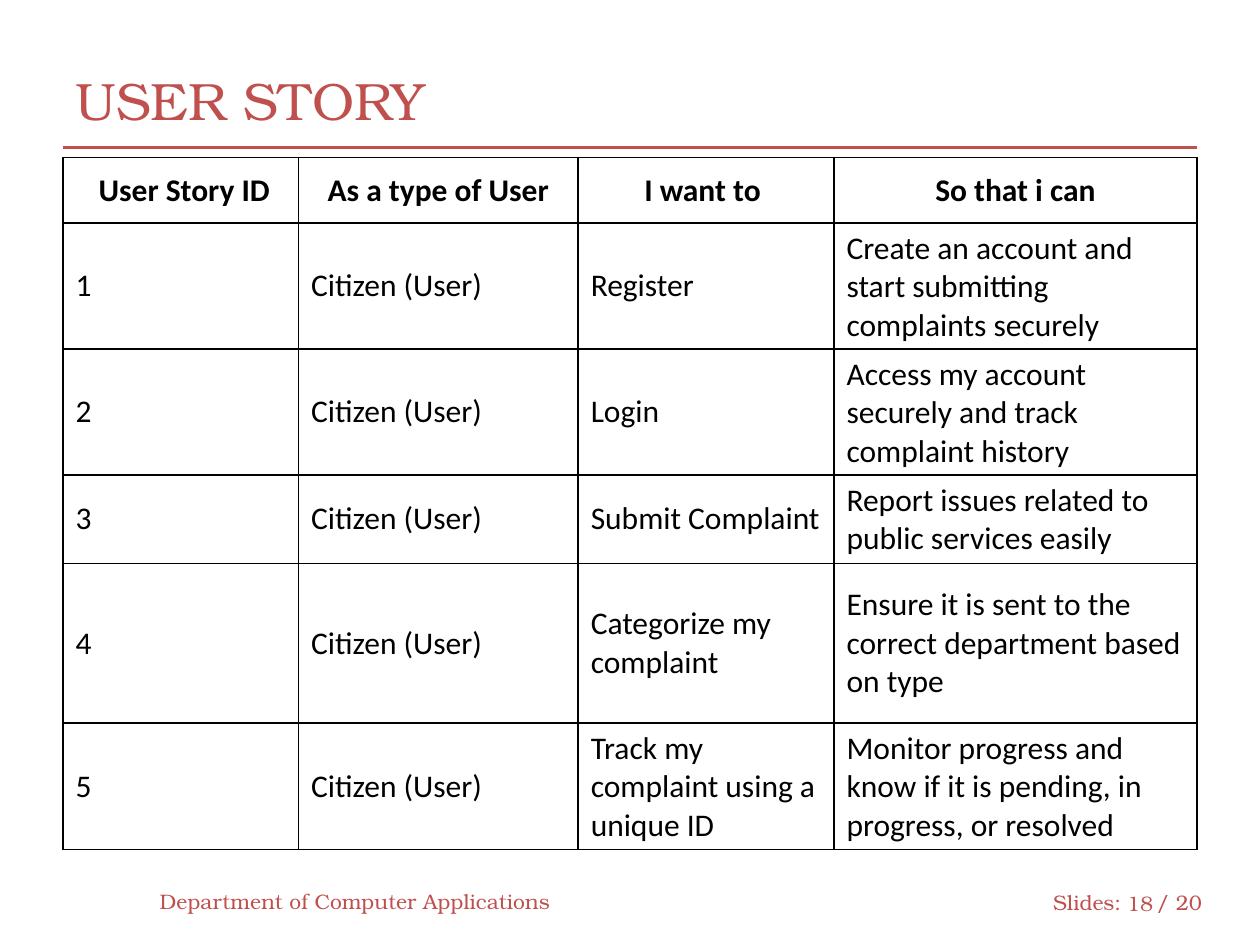
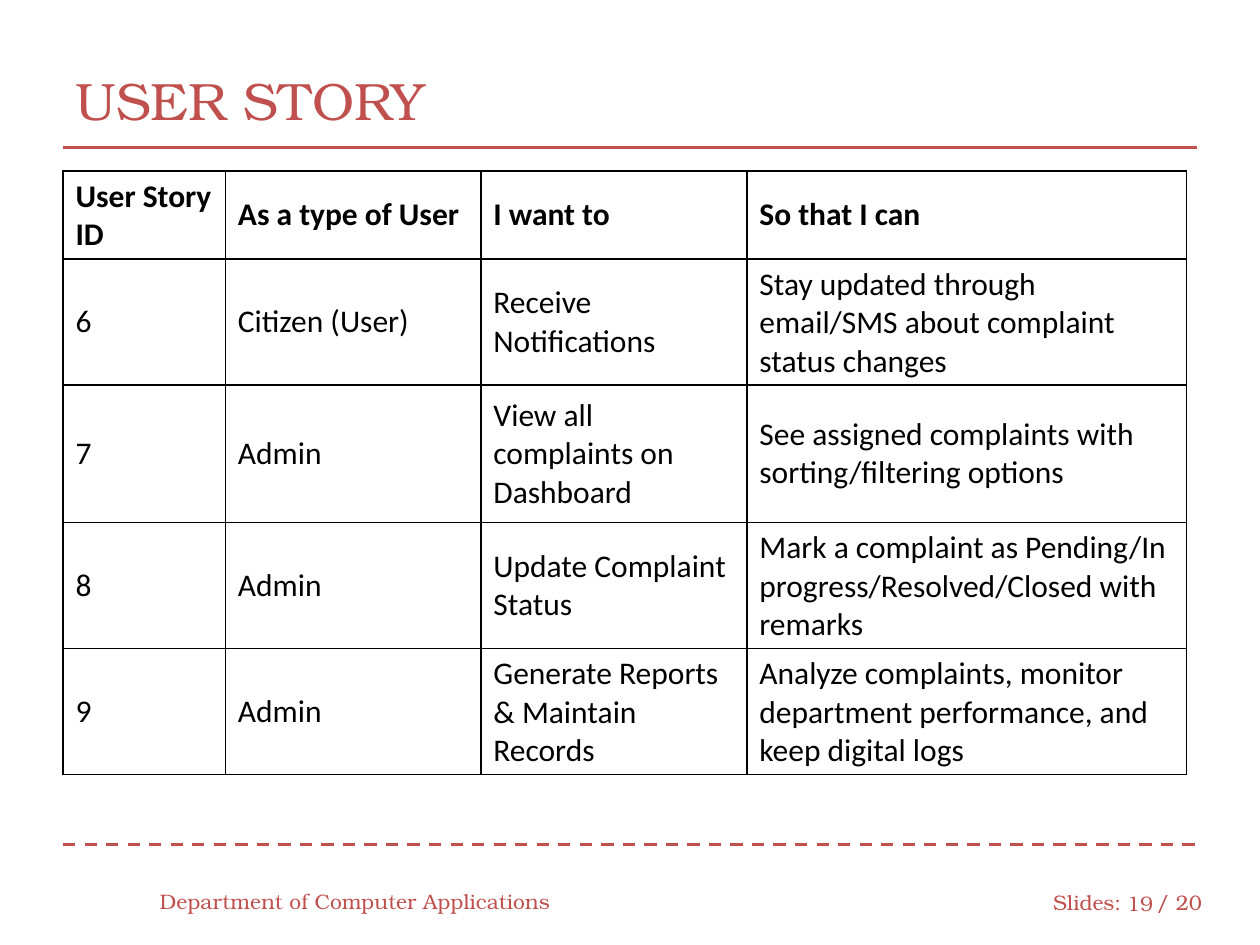
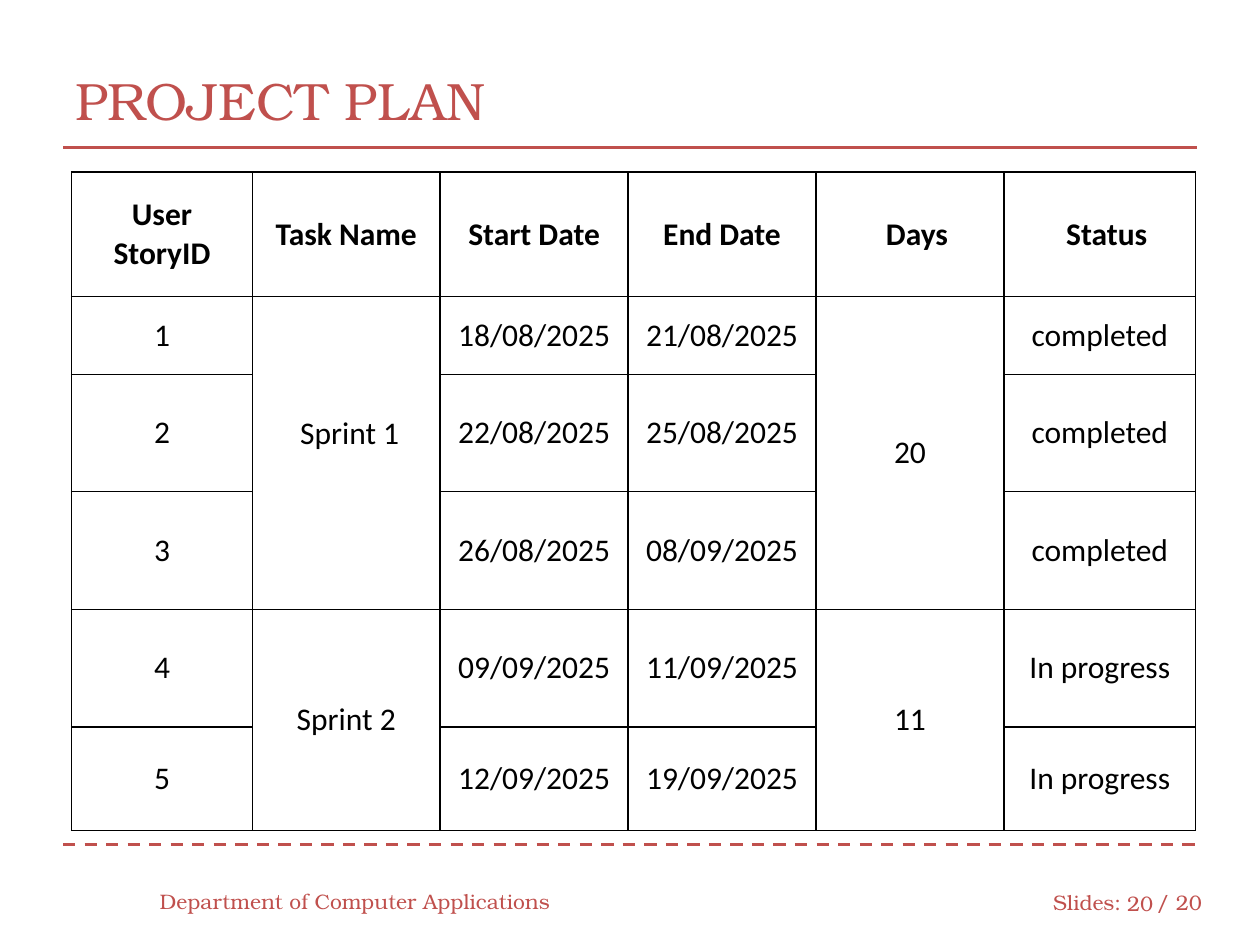
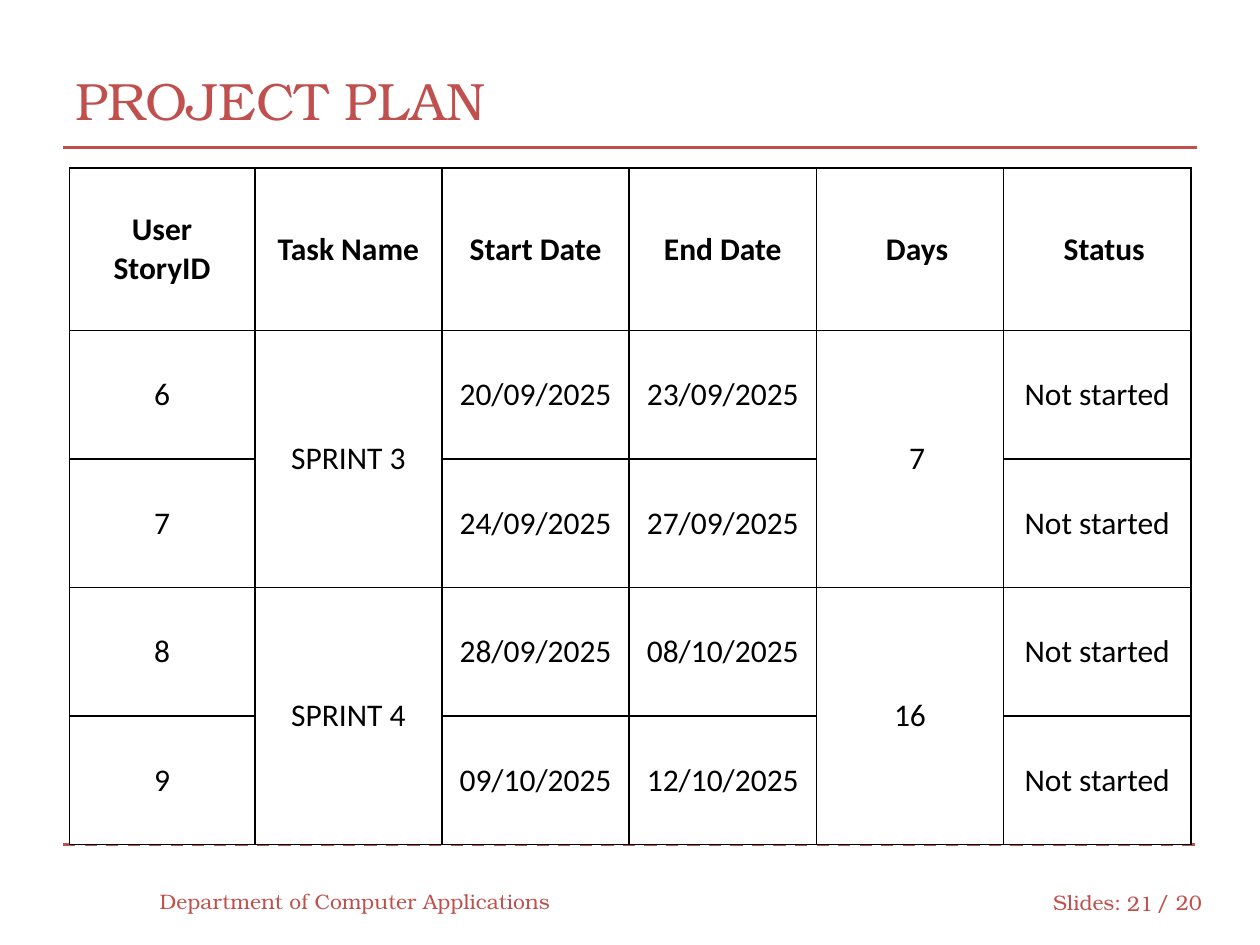
from dataclasses import dataclass
from typing import Any, Optional, Union

import pptx
import pptx.dml.color
import pptx.enum.dml
import pptx.enum.shapes
import pptx.enum.text
import pptx.oxml
import pptx.oxml.ns
import pptx.util
from lxml import etree

Pt = pptx.util.Pt
ALIGN = pptx.enum.text.PP_ALIGN
MIDDLE = pptx.enum.text.MSO_ANCHOR.MIDDLE
DASH = pptx.enum.dml.MSO_LINE.DASH

RED, BLACK, WHITE = "C0504D", "000000", "FFFFFF"
HEADING_FONT, TABLE_FONT = "TeX Gyre Bonum", "Calibri"
FIRST_NUMBER = 18
RULE_LEFT, RULE_RIGHT = 36, 684
LINE_HEIGHT = 22


@dataclass(frozen=True)
class Label:
    text: str
    left: float
    top: float
    width: float
    height: float = 29
    size: float = 12
    align: Any = ALIGN.LEFT


@dataclass(frozen=True)
class Rule:
    top: float
    dash: Any = None


@dataclass(frozen=True)
class Cell:
    text: str
    indent: float = 0
    space_below: float = 0


Entry = Optional[Union[str, Cell]]


@dataclass(frozen=True)
class Grid:
    left: float
    top: float
    cols: list[float]
    rows: list[float]
    entries: list[list[Entry]]
    center_head: bool = True
    center_body: bool = True


@dataclass(frozen=True)
class Page:
    title: str
    grid: Grid


RULES = [Rule(482.4, DASH), Rule(84.2)]
FOOTER = [
    Label("Slides:", 594.7, 501, 54),
    Label("/ 20", 653.8, 501, 41.8),
    Label("Department of Computer Applications", 84.2, 500.4, 240),
]

PLAN_HEAD: list[Entry] = [
    "User\nStoryID", "Task Name", "Start Date", "End Date",
    Cell("Days", indent=8), Cell("Status", indent=8),
]

PAGES = [
    Page("USER STORY", Grid(
        36, 90, [134.6, 159.8, 146.2, 207.4], [37.4, 70.6, 70.6, 49, 91.4, 70.6],
        [
            [" User Story ID", "As a type of User", "I want to ", "So that i can"],
            ["1", "Citizen (User)", "Register",
             "Create an account and start submitting complaints securely"],
            ["2", "Citizen (User)", "Login",
             "Access my account securely and track complaint history"],
            ["3", "Citizen (User)", "Submit Complaint",
             "Report issues related to public services easily"],
            ["4", "Citizen (User)", "Categorize my complaint",
             "Ensure it is sent to the correct department based on type"],
            ["5", "Citizen (User)", "Track my complaint using a unique ID",
             "Monitor progress and know if it is pending, in progress, or resolved"],
        ],
        center_body=False)),
    Page("USER STORY", Grid(
        36, 97.6, [92.8, 146, 152, 251.4], [48.2, 60.5, 78.5, 68.4, 68.4],
        [
            ["User Story ID", "As a type of User", "I want to", "So that I can"],
            ["6", "Citizen (User)", "Receive Notifications",
             "Stay updated through email/SMS about complaint status changes"],
            ["7", "Admin", "View all complaints on Dashboard",
             "See assigned complaints with sorting/filtering options"],
            ["8", "Admin", "Update Complaint Status",
             "Mark a complaint as Pending/In progress/Resolved/Closed with remarks"],
            ["9", "Admin", "Generate Reports & Maintain Records",
             "Analyze complaints, monitor department performance, and keep digital logs"],
        ],
        center_head=False, center_body=False)),
    Page("PROJECT PLAN", Grid(
        41, 98.4, [103.2] + [107.4] * 4 + [109.6], [71, 44.6, 67, 67.4, 67, 59.2],
        [
            PLAN_HEAD,
            ["1", Cell(" Sprint 1", space_below=LINE_HEIGHT),
             "18/08/2025", "21/08/2025", "20", "completed"],
            ["2", None, "22/08/2025", "25/08/2025", None, "completed"],
            ["3", None, "26/08/2025", "08/09/2025", None, "completed"],
            ["4", "Sprint 2", "09/09/2025", "11/09/2025", "11", "In progress"],
            ["5", None, "12/09/2025", "19/09/2025", None, "In progress"],
        ])),
    Page("PROJECT PLAN", Grid(
        39.6, 96, [106] + [107] * 5, [93] + [73.4] * 4,
        [
            PLAN_HEAD,
            ["6", "SPRINT 3", "20/09/2025", "23/09/2025", Cell("7", indent=8), "Not started"],
            ["7", None, "24/09/2025", "27/09/2025", None, "Not started"],
            ["8", "SPRINT 4", "28/09/2025", "08/10/2025", "16", "Not started"],
            ["9", None, "09/10/2025", "12/10/2025", None, "Not started"],
        ])),
]


def rgb(value: str) -> pptx.dml.color.RGBColor:
    return pptx.dml.color.RGBColor.from_string(value)


def apply(target: Any, formats: dict[str, Any]) -> None:
    for name, value in formats.items():
        setattr(target, name, value)


def write(tf: Any, text: str, align: Any, color: str, font: dict[str, Any]) -> None:
    tf.text = text
    for p in tf.paragraphs:
        p.alignment = align
        for r in p.runs:
            apply(r.font, font)
            r.font.color.rgb = rgb(color)


def add_label(s: Any, label: Label) -> None:
    box = (label.left, label.top, label.width, label.height)
    tf = s.shapes.add_textbox(*map(Pt, box)).text_frame
    apply(tf, {"word_wrap": True, "vertical_anchor": MIDDLE})
    write(tf, label.text, label.align, RED, {"name": HEADING_FONT, "size": Pt(label.size)})


def add_rule(s: Any, rule: Rule) -> None:
    ends = (RULE_LEFT, rule.top, RULE_RIGHT, rule.top)
    sp = s.shapes.add_connector(pptx.enum.shapes.MSO_CONNECTOR.STRAIGHT, *map(Pt, ends))
    apply(sp.line, {"width": Pt(1.75), "dash_style": rule.dash})
    sp.line.color.rgb = rgb(RED)
    etree.SubElement(sp._element.spPr, pptx.oxml.ns.qn("a:effectLst"))


def add_borders(cell: Any) -> None:
    tc_pr = cell._tc.get_or_add_tcPr()
    for side in "LRTB":
        tc_pr.append(pptx.oxml.parse_xml(
            f'<a:ln{side} {pptx.oxml.ns.nsdecls("a")} w="{Pt(1)}"><a:solidFill>'
            f'<a:srgbClr val="{BLACK}"/></a:solidFill></a:ln{side}>'))


def fill_cell(cell: Any, entry: Entry, center: bool, bold: bool) -> None:
    add_borders(cell)
    cell.fill.solid()
    cell.fill.fore_color.rgb = rgb(WHITE)
    if entry is None:
        return
    content = entry if isinstance(entry, Cell) else Cell(entry)
    pad = 7.2 if center else 3.6
    apply(cell, {
        "vertical_anchor": MIDDLE,
        "margin_left": Pt(7.2),
        "margin_right": Pt(7.2),
        "margin_top": Pt(pad),
        "margin_bottom": Pt(pad + content.space_below),
    })
    write(cell.text_frame, content.text, ALIGN.CENTER if center else ALIGN.LEFT, BLACK,
          {"name": TABLE_FONT, "size": Pt(18), "bold": bold})
    if content.indent:
        for p in cell.text_frame.paragraphs:
            p._p.get_or_add_pPr().set("marL", str(Pt(content.indent)))


def add_grid(s: Any, grid: Grid) -> None:
    box = (grid.left, grid.top, sum(grid.cols), sum(grid.rows))
    table = s.shapes.add_table(len(grid.rows), len(grid.cols), *map(Pt, box)).table
    apply(table, {"first_row": False, "horz_banding": False})
    for column, width in zip(table.columns, grid.cols):
        column.width = Pt(width)
    for row, height in zip(table.rows, grid.rows):
        row.height = Pt(height)
    for i, entries in enumerate(grid.entries):
        center = grid.center_body if i else grid.center_head
        for j, entry in enumerate(entries):
            fill_cell(table.cell(i, j), entry, center, bold=i == 0)
    merge_gaps(table, grid.entries)


def merge_gaps(table: Any, entries: list[list[Entry]]) -> None:
    for j, column in enumerate(zip(*entries)):
        starts = [i for i, entry in enumerate(column) if entry is not None]
        for start, end in zip(starts, starts[1:] + [len(column)]):
            if end - start > 1:
                table.cell(start, j).merge(table.cell(end - 1, j))


def add_page(prs: Any, page: Page, number: int) -> None:
    s = prs.slides.add_slide(prs.slide_layouts[6])
    for rule in RULES:
        add_rule(s, rule)
    add_label(s, Label(page.title, 36, 23.8, 648, 66.2, 30))
    for label in FOOTER:
        add_label(s, label)
    add_label(s, Label(str(number), 635.6, 501.8, 30.4, align=ALIGN.RIGHT))
    add_grid(s, page.grid)


def main() -> None:
    prs = pptx.Presentation()
    apply(prs, {"slide_width": Pt(720), "slide_height": Pt(540)})
    for number, page in enumerate(PAGES, FIRST_NUMBER):
        add_page(prs, page, number)
    prs.save("out.pptx")


if __name__ == "__main__":
    main()
